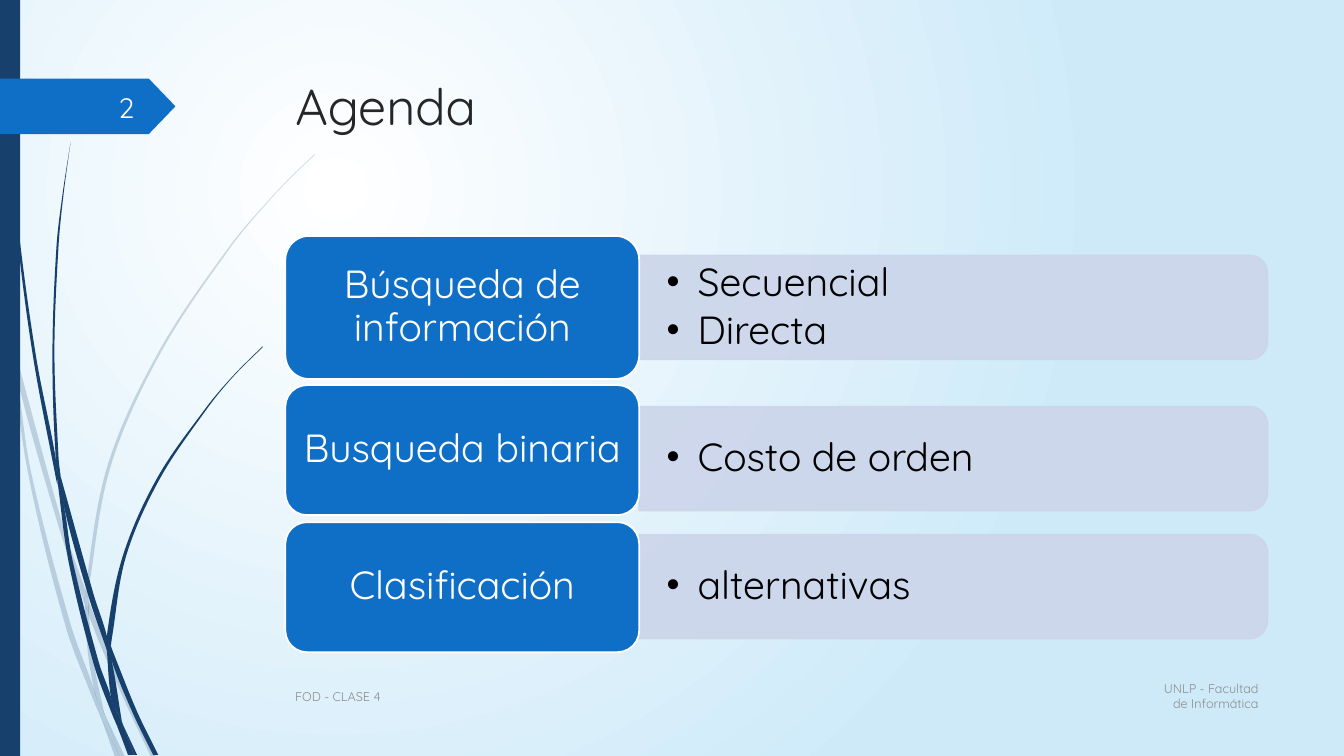
"""Build the agenda slide: three topics with details beside curved stems."""
import math

import lxml.etree
import pptx
import pptx.dml.color
import pptx.enum.shapes
import pptx.enum.text
import pptx.oxml
import pptx.oxml.ns
import pptx.util

WIDTH, HEIGHT = 13.33, 7.5
FONT = "Quicksand"
NAVY, BLUE, PANEL, WHITE = "17406D", "0F6FC6", "CCD5EA", "FFFFFF"
BLACK, DARK, GREY, SKY = "000000", "262626", "8C8C8C", "CEEAF9"

LABEL_LEFT, LABEL_WIDTH = 2.83, 3.51
PANEL_LEFT, PANEL_WIDTH, PANEL_HEIGHT = LABEL_LEFT + LABEL_WIDTH, 6.23, 1.03

TOPICS = [
    {"label": "Búsqueda de información", "top": 2.34, "height": 1.42,
     "middle": 3.05, "details": ["Secuencial", "Directa"]},
    {"label": "Busqueda binaria", "top": 3.82, "height": 1.29,
     "middle": 4.55, "details": ["Costo de orden"]},
    {"label": "Clasificación", "top": 5.18, "height": 1.29,
     "middle": 5.82, "details": ["alternativas"]},
]

SMALL_TEXTS = [
    ("UNLP - Facultad de Informática", (11.33, 6.7, 1.25, 0.41), "RIGHT", 9, GREY),
    ("FOD - CLASE 4", (2.83, 6.71, 8.33, 0.4), "LEFT", 9, GREY),
    ("2", (0.58, 0.86, 0.85, 0.4), "RIGHT", 20, WHITE),
]

PALE_BLADES = [
    ([(0, 2.99), (0.1, 3.44), (0.11, 3.5)], [(0, 2.82), (0.09, 3.22), (0.11, 3.5)]),
    ([(0.14, 3.45), (0.17, 3.76), (0.58, 5.22), (0.84, 5.99)], [(0.14, 3.45), (0.62, 5.2), (0.85, 5.86)]),
    ([(0.88, 5.96), (0.88, 6.1), (1.23, 6.94), (1.5, 7.51)], [(0.88, 5.96), (0.92, 6.07), (1.27, 6.92), (1.55, 7.51)]),
    ([(1.05, 7.11), (1.19, 7.51)], [(1.05, 7.11), (1.24, 7.51)]),
    ([(0.11, 3.5), (0.28, 4.7), (0.65, 6.21), (0.92, 6.93), (1.01, 7.14)],
     [(0.11, 3.5), (0.17, 3.76), (0.31, 4.69), (0.7, 6.19), (0.93, 6.83), (0.99, 7.07), (1.01, 7.14)]),
    ([(0.84, 5.99), (0.87, 6.46), (0.93, 6.83), (0.96, 6.92), (1.05, 7.11)],
     [(0.84, 5.99), (0.88, 6.08), (0.91, 6.46), (1.03, 7.06), (1.05, 7.11)]),
    ([(3.12, 1.53), (2.89, 1.75), (2.68, 1.97), (2.28, 2.44), (1.58, 3.48), (1.07, 4.61), (0.85, 5.84), (0.88, 5.96)],
     [(3.12, 1.54), (2.9, 1.75), (2.68, 1.98), (2.29, 2.45), (1.6, 3.49), (1.1, 4.62), (0.88, 5.84), (0.88, 5.96)]),
    ([(1.01, 7.14), (1.14, 7.51)], [(1.01, 7.14), (1.19, 7.51)]),
    ([(0.85, 5.86), (0.84, 5.99), (0.88, 6.08)], [(0.85, 5.86), (0.88, 5.96), (0.88, 6.1)]),
    ([(0.93, 6.83), (0.99, 7.07), (1.01, 7.14), (1.19, 7.51)], [(0.93, 6.83), (0.96, 6.92), (1.05, 7.11), (1.19, 7.51)]),
]

DARK_BLADES = [
    ([(0.03, 0), (0.04, 0.48), (0.07, 1.1), (0.17, 2.33), (0.33, 3.55), (0.56, 4.77), (0.57, 4.81)],
     [(0.04, 0), (0.05, 0.48), (0.08, 1.09), (0.19, 2.32), (0.36, 3.55), (0.55, 4.53), (0.57, 4.81)]),
    ([(0.6, 4.72), (0.64, 5.05), (0.88, 5.92), (1.06, 6.45)], [(0.6, 4.72), (0.93, 5.9), (1.06, 6.31), (1.06, 6.45)]),
    ([(1.1, 6.41), (1.11, 6.56), (1.32, 7.08), (1.52, 7.49)], [(1.1, 6.41), (1.13, 6.49), (1.36, 7.06), (1.57, 7.49)]),
    ([(0.57, 4.77), (0.68, 5.57), (0.93, 6.59), (1.11, 7.08), (1.17, 7.22)],
     [(0.57, 4.77), (0.64, 5.05), (0.72, 5.56), (0.98, 6.57), (1.1, 6.91), (1.17, 7.22)]),
    ([(0.7, 1.41), (0.62, 1.93), (0.56, 2.45), (0.52, 3.49), (0.55, 4.49), (0.6, 4.72)],
     [(0.7, 1.41), (0.63, 1.93), (0.58, 2.45), (0.54, 3.49), (0.58, 4.53), (0.6, 4.72)]),
    ([(1.22, 7.19), (1.33, 7.49)], [(1.22, 7.19), (1.36, 7.49)]),
    ([(0.55, 4.49), (0.57, 4.77), (0.64, 5.05)], [(0.55, 4.49), (0.6, 4.72), (0.64, 5.05)]),
    ([(2.6, 3.44), (2.31, 3.73), (2.04, 4.05), (1.56, 4.74), (1.22, 5.51), (1.06, 6.31), (1.1, 6.41)],
     [(2.61, 3.44), (2.31, 3.74), (2.05, 4.06), (1.58, 4.76), (1.25, 5.52), (1.11, 6.33), (1.1, 6.41)]),
    ([(1.17, 7.22), (1.27, 7.49)], [(1.17, 7.22), (1.31, 7.49)]),
    ([(1.06, 6.45), (1.1, 6.91), (1.16, 7.06), (1.22, 7.19)], [(1.06, 6.45), (1.11, 6.56), (1.21, 7.16), (1.22, 7.19)]),
    ([(1.06, 6.31), (1.06, 6.45), (1.11, 6.56)], [(1.06, 6.31), (1.1, 6.41), (1.11, 6.56)]),
    ([(1.1, 6.91), (1.17, 7.22), (1.3, 7.49)], [(1.1, 6.91), (1.16, 7.06), (1.22, 7.19), (1.33, 7.49)]),
]


def colour(value):
    return pptx.dml.color.RGBColor.from_string(value)


def inches(lengths):
    return [pptx.util.Inches(length) for length in lengths]


def paint(shape, fill, line=None, alpha=100):
    shape.shadow.inherit = False
    shape.fill.solid()
    shape.fill.fore_color.rgb = colour(fill)
    shape.line.fill.background()
    if line:
        shape.line.color.rgb = colour(line)
        shape.line.width = pptx.util.Pt(1.25)
    if alpha < 100:
        for node in shape.element.spPr.iter(pptx.oxml.ns.qn("a:srgbClr")):
            lxml.etree.SubElement(node, pptx.oxml.ns.qn("a:alpha")).set("val", str(alpha * 1000))


def add_shape(slide, kind, area, **style):
    preset = getattr(pptx.enum.shapes.MSO_SHAPE, kind)
    shape = slide.shapes.add_shape(preset, *inches(area))
    paint(shape, **style)
    return shape


def write(shape, text, size, color, align="LEFT", anchor="MIDDLE", inset=0.1):
    frame = shape.text_frame
    frame.word_wrap = True
    frame.auto_size = pptx.enum.text.MSO_AUTO_SIZE.NONE
    frame.vertical_anchor = getattr(pptx.enum.text.MSO_ANCHOR, anchor)
    frame.margin_left = frame.margin_right = pptx.util.Inches(inset)
    frame.text = text
    for para in frame.paragraphs:
        para.alignment = getattr(pptx.enum.text.PP_ALIGN, align)
        for span in para.runs:
            span.font.name = FONT
            span.font.size = pptx.util.Pt(size)
            span.font.color.rgb = colour(color)
    return frame


def add_text(slide, area, text, size, color, **style):
    return write(slide.shapes.add_textbox(*inches(area)), text, size, color, **style)


def curve_controls(edge):
    slopes = []
    for a, b, c in zip([edge[0], *edge], edge, [*edge[1:], edge[-1]]):
        reach = math.dist(a, b) + math.dist(b, c)
        slopes.append([(q - p) / reach for p, q in zip(a, c)])
    controls = []
    for a, b, leave, arrive in zip(edge, edge[1:], slopes, slopes[1:]):
        third = math.dist(a, b) / 3
        controls.append(([p + third * s for p, s in zip(a, leave)],
                         [p - third * s for p, s in zip(b, arrive)]))
    return controls


def add_blade(slide, left, right, alpha):
    down, up = [inches(point) for point in left], [inches(point) for point in right[::-1]]
    builder = slide.shapes.build_freeform(*down[0])
    builder.add_line_segments(down[1:] + up, close=True)
    shape = builder.convert_to_shape()
    controls = curve_controls(down) + [None] + curve_controls(up)
    for node, pair in zip(list(shape.element.iter(pptx.oxml.ns.qn("a:lnTo"))), controls):
        if pair:
            node.tag = pptx.oxml.ns.qn("a:cubicBezTo")
            for place, (x, y) in enumerate(pair):
                point = lxml.etree.Element(pptx.oxml.ns.qn("a:pt"))
                point.set("x", str(round(x - shape.left)))
                point.set("y", str(round(y - shape.top)))
                node.insert(place, point)
    paint(shape, NAVY, alpha=alpha)


def set_background(slide):
    fill = slide.background.fill
    fill.gradient()
    for stop, value in zip(fill.gradient_stops, (WHITE, SKY)):
        stop.color.rgb = colour(value)
    gradient = slide.element.find(".//" + pptx.oxml.ns.qn("a:gradFill"))
    gradient.remove(gradient.find(pptx.oxml.ns.qn("a:lin")))
    gradient.append(pptx.oxml.parse_xml(
        f'<a:path {pptx.oxml.ns.nsdecls("a")} path="circle">'
        '<a:fillToRect l="50000" t="50000" r="100000" b="100000"/></a:path>'))


def add_bullet(para):
    properties = para._p.get_or_add_pPr()
    indent = pptx.util.Inches(0.31)
    properties.set("marL", str(indent))
    properties.set("indent", str(-indent))
    for tag, name, value in (("a:buFont", "typeface", FONT), ("a:buChar", "char", "•")):
        lxml.etree.SubElement(properties, pptx.oxml.ns.qn(tag)).set(name, value)


def add_topic(slide, topic):
    middle = topic["middle"]
    turned_left = PANEL_LEFT + (PANEL_WIDTH - PANEL_HEIGHT) / 2
    area = (turned_left, middle - PANEL_WIDTH / 2, PANEL_HEIGHT, PANEL_WIDTH)
    add_shape(slide, "ROUND_2_SAME_RECTANGLE", area, fill=PANEL, line=PANEL, alpha=90).rotation = 90
    area = (PANEL_LEFT, middle - PANEL_HEIGHT / 2, PANEL_WIDTH, PANEL_HEIGHT)
    details = add_text(slide, area, "\n".join(topic["details"]), 28, BLACK, inset=0.27)
    for para in details.paragraphs:
        para.line_spacing = 0.9
        para.space_after = pptx.util.Pt(4)
        add_bullet(para)
    area = (LABEL_LEFT, topic["top"], LABEL_WIDTH, topic["height"])
    label = add_shape(slide, "ROUNDED_RECTANGLE", area, fill=BLUE, line=WHITE)
    write(label, topic["label"], 28, WHITE, align="CENTER").paragraphs[0].line_spacing = 0.9


deck = pptx.Presentation()
deck.slide_width, deck.slide_height = inches((WIDTH, HEIGHT))
page = deck.slides.add_slide(deck.slide_layouts[5])
set_background(page)
for blades, opacity in ((PALE_BLADES, 20), (DARK_BLADES, 100)):
    for left_edge, right_edge in blades:
        add_blade(page, left_edge, right_edge, opacity)
add_shape(page, "RECTANGLE", (0, 0, 0.2, HEIGHT), fill=NAVY)
add_shape(page, "PENTAGON", (0, 0.78, 1.74, 0.55), fill=BLUE).adjustments[0] = 0.48
title = page.shapes.title
title.left, title.top, title.width, title.height = inches((2.83, 0.69, 9.75, 1.4))
write(title, "Agenda", 36, DARK, anchor="TOP")
for item in TOPICS:
    add_topic(page, item)
for words, spot, side, points, tint in SMALL_TEXTS:
    add_text(page, spot, words, points, tint, align=side)
deck.save("out.pptx")
